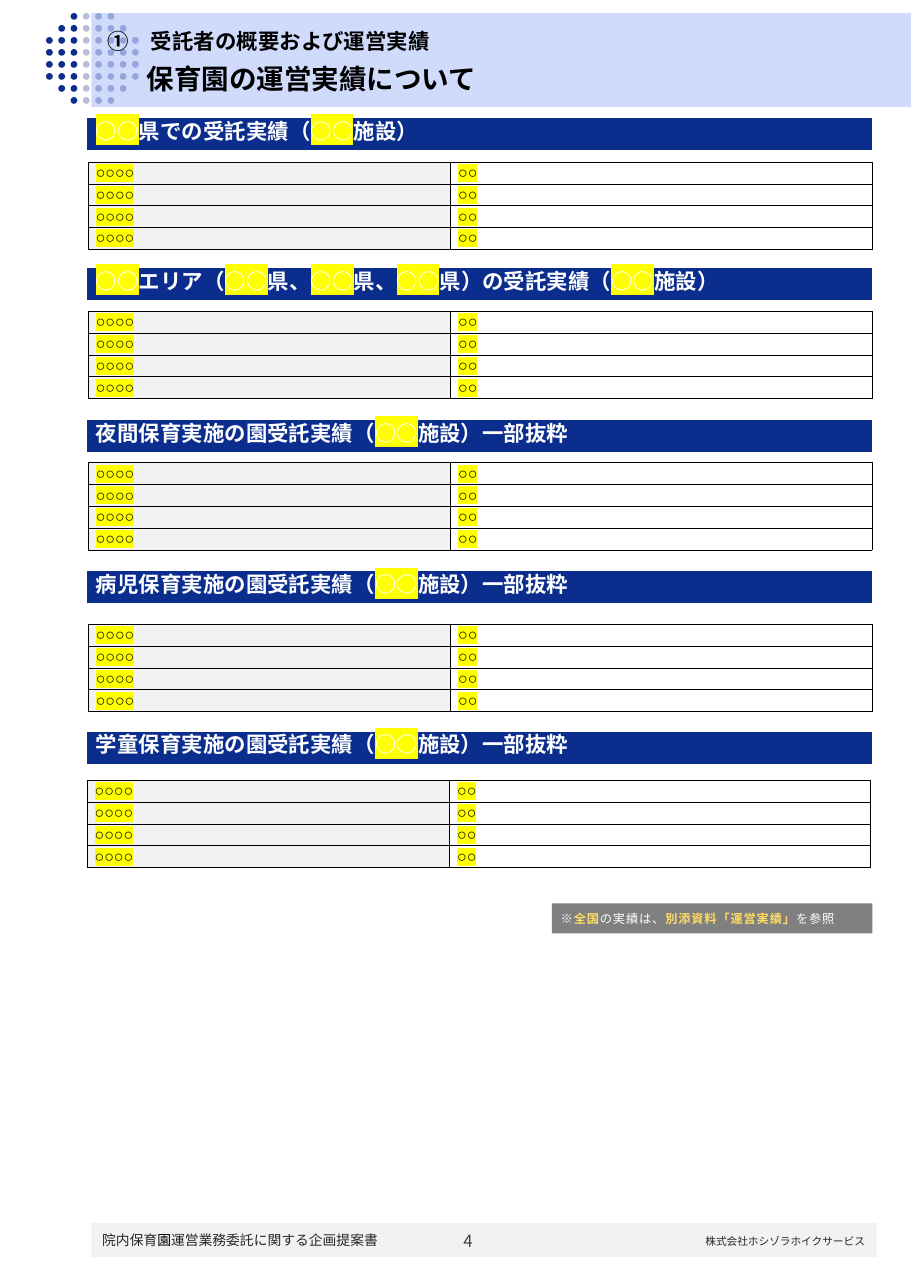
from pptx import Presentation
from pptx.dml.color import RGBColor
from pptx.enum.shapes import MSO_SHAPE as Shape
from pptx.enum.text import MSO_ANCHOR as Anchor, MSO_AUTO_SIZE as AutoSize, PP_ALIGN as Align
from pptx.oxml.ns import qn
from pptx.util import Pt
from lxml.etree import SubElement

COLOURS = {
    "navy": "0B2E8E", "pale blue": "BDCDFA", "pale grey": "F2F2F2",
    "grey": "808080", "dark": "262626", "number": "404040",
    "black": "000000", "white": "FFFFFF", "gold": "FFDC65", "yellow": "FFFF00",
}
JAPANESE = "Noto Sans CJK JP"
NO_STYLE = "{2D5ABB26-0587-4C30-8999-92F81FD0307C}"
BLANK = "○○"

deck = Presentation()
deck.slide_width, deck.slide_height = Pt(595.44), Pt(841.68)
page = deck.slides.add_slide(deck.slide_layouts[1])


def write(para, text, size, colour, bold=False, font=JAPANESE, marked=False):
    span = para.add_run()
    span.text = text
    span.font.size, span.font.bold, span.font.name = Pt(size), bold, font
    span.font.color.rgb = RGBColor.from_string(COLOURS[colour])
    props = span.font._element
    SubElement(props, qn("a:ea")).set("typeface", font)
    if marked:
        highlight = SubElement(props, qn("a:highlight"))
        SubElement(highlight, qn("a:srgbClr")).set("val", COLOURS["yellow"])
        props.find(qn("a:solidFill")).addnext(highlight)
    return span


def draw(kind, left, top, width, height, colour, opacity=100):
    shape = page.shapes.add_shape(kind, Pt(left), Pt(top), Pt(width), Pt(height))
    shape.shadow.inherit = False
    shape.line.fill.background()
    shape.fill.solid()
    shape.fill.fore_color.rgb = RGBColor.from_string(COLOURS[colour])
    if opacity < 100:
        tint = shape.element.spPr.find(qn("a:solidFill"))[0]
        SubElement(tint, qn("a:alpha")).set("val", str(opacity * 1000))
    return shape


# Footer strip and header band
draw(Shape.RECTANGLE, 59.76, 799.2, 513.36, 22.3, "pale grey")
draw(Shape.RECTANGLE, 59.76, 8.6, 535.68, 61.2, "pale blue", 70)

# Dot pattern: an octagon of eight rows, the first three columns solid
for row, cut in enumerate([2, 1, 0, 0, 0, 0, 1, 2]):
    for column in range(cut, 8 - cut):
        draw(Shape.OVAL, 30.1 + 8.03 * column, 8.5 + 7.85 * row, 4.4, 4.4,
             "navy", 100 if column < 3 else 30)

# Title and subtitle
title, subtitle = page.placeholders
headings = [
    (title, "①　受託者の概要および運営実績", 14, (64.8, 14.4, 485.3, 24.5), 5.76),
    (subtitle, "保育園の運営実績について", 18, (88.56, 36.7, 415.4, 28.8), 7.2),
]
for box, text, size, place, inset in headings:
    box.left, box.top, box.width, box.height = map(Pt, place)
    frame = box.text_frame
    frame.auto_size, frame.vertical_anchor = AutoSize.NONE, Anchor.MIDDLE
    frame.margin_left = Pt(inset)
    frame.margin_top = frame.margin_bottom = 0
    para = frame.paragraphs[0]
    para.alignment, para.space_before = Align.LEFT, Pt(0)
    props = para._p.get_or_add_pPr()
    props.set("marL", "0")
    props.set("indent", "0")
    SubElement(props, qn("a:buNone"))
    write(para, text, size, "black", True)
    box.element.getparent().append(box.element)  # in front of the band

# Footer texts
footers = [
    ((59.76, 801.4, 306.7, 18), Align.LEFT, 9,
     [("院内保育", "dark"), ("園", "black"), ("運営業務委託に関する企画提案書", "dark")]),
    ((265.7, 803.5, 306.7, 15.8), Align.RIGHT, 7,
     [("株式会社ホシゾラホイクサービス", "dark")]),
    ((279.36, 801.4, 36.72, 18.7), Align.RIGHT, 11, [("4", "number")]),
]
for place, align, size, parts in footers:
    frame = page.shapes.add_textbox(*map(Pt, place)).text_frame
    frame.word_wrap, frame.vertical_anchor = True, Anchor.MIDDLE
    frame.margin_top = frame.margin_bottom = 0
    frame.paragraphs[0].alignment = align
    for text, colour in parts:
        write(frame.paragraphs[0], text, size, colour)

# Sections: heading parts, heading top, grid left, grid top
sections = [
    ("○○|県での受託実績（|○○|施設）", 77.1, 57.6, 106),
    ("○○|エリア（|○○|県、|○○|県、|○○|県）の受託実績（|○○|施設）", 175, 57.6, 203.5),
    ("夜間保育実施の園受託実績（|○○|施設）一部抜粋", 274.4, 57.6, 302.4),
    ("病児保育実施の園受託実績（|○○|施設）一部抜粋", 373.3, 57.6, 408),
    ("学童保育実施の園受託実績（|○○|施設）一部抜粋", 478.1, 56.9, 510),
]
for heading, heading_top, grid_left, grid_top in sections:
    heading_frame = page.shapes.add_table(
        1, 1, Pt(56.9), Pt(heading_top), Pt(513.2), Pt(20.9))
    grid_frame = page.shapes.add_table(
        4, 2, Pt(grid_left), Pt(grid_top), Pt(512.3), Pt(57))
    for holder in (heading_frame, grid_frame):
        holder.table.first_row = holder.table.horz_banding = False
        holder._element.find(".//" + qn("a:tableStyleId")).text = NO_STYLE

    # Heading bar
    cell = heading_frame.table.cell(0, 0)
    cell.fill.solid()
    cell.fill.fore_color.rgb = RGBColor.from_string(COLOURS["navy"])
    cell.vertical_anchor = Anchor.MIDDLE
    cell.margin_left = Pt(5.76)
    cell.margin_top = cell.margin_right = cell.margin_bottom = 0
    para = cell.text_frame.paragraphs[0]
    para.alignment, para.line_spacing, para.space_after = Align.JUSTIFY, Pt(15), Pt(1)
    for part in heading.split("|"):
        write(para, part, 14, "white", True, marked=part == BLANK)

    # Facility grid
    grid = grid_frame.table
    grid.columns[0].width, grid.columns[1].width = Pt(236.9), Pt(275.4)
    for row in grid.rows:
        for column, cell in enumerate(row.cells):
            cell.vertical_anchor = Anchor.MIDDLE
            cell.margin_left = cell.margin_right = Pt(5.04)
            cell.margin_top = cell.margin_bottom = 0
            props = cell._tc.get_or_add_tcPr()
            for side in ("lnL", "lnR", "lnT", "lnB"):
                border = SubElement(props, qn("a:" + side), w=str(Pt(0.5)))
                paint = SubElement(border, qn("a:solidFill"))
                SubElement(paint, qn("a:srgbClr")).set("val", COLOURS["black"])
            if column == 0:
                cell.fill.solid()
                cell.fill.fore_color.rgb = RGBColor.from_string(COLOURS["pale grey"])
            else:
                cell.fill.background()
            write(cell.text_frame.paragraphs[0], BLANK * (2 - column), 10.5, "black",
                  font="Arial", marked=True)

# Reference note
note = draw(Shape.RECTANGLE, 360.7, 590.4, 209.5, 19.6, "grey").text_frame
note.word_wrap, note.vertical_anchor = True, Anchor.MIDDLE
note.margin_left, note.margin_right = Pt(5.76), 0
note.margin_top, note.margin_bottom = Pt(2.88), Pt(5.76)
para = note.paragraphs[0]
para.alignment, para.line_spacing, para.space_after = Align.LEFT, 1.3, Pt(6)
for text, strong in [("※", False), ("全国", True), ("の実績は、", False),
                     ("別添資料「運営実績」", True), ("を参照", False)]:
    span = write(para, text, 8, "gold" if strong else "white", strong)
    span.font._element.set("spc", "50")

deck.save("out.pptx")
